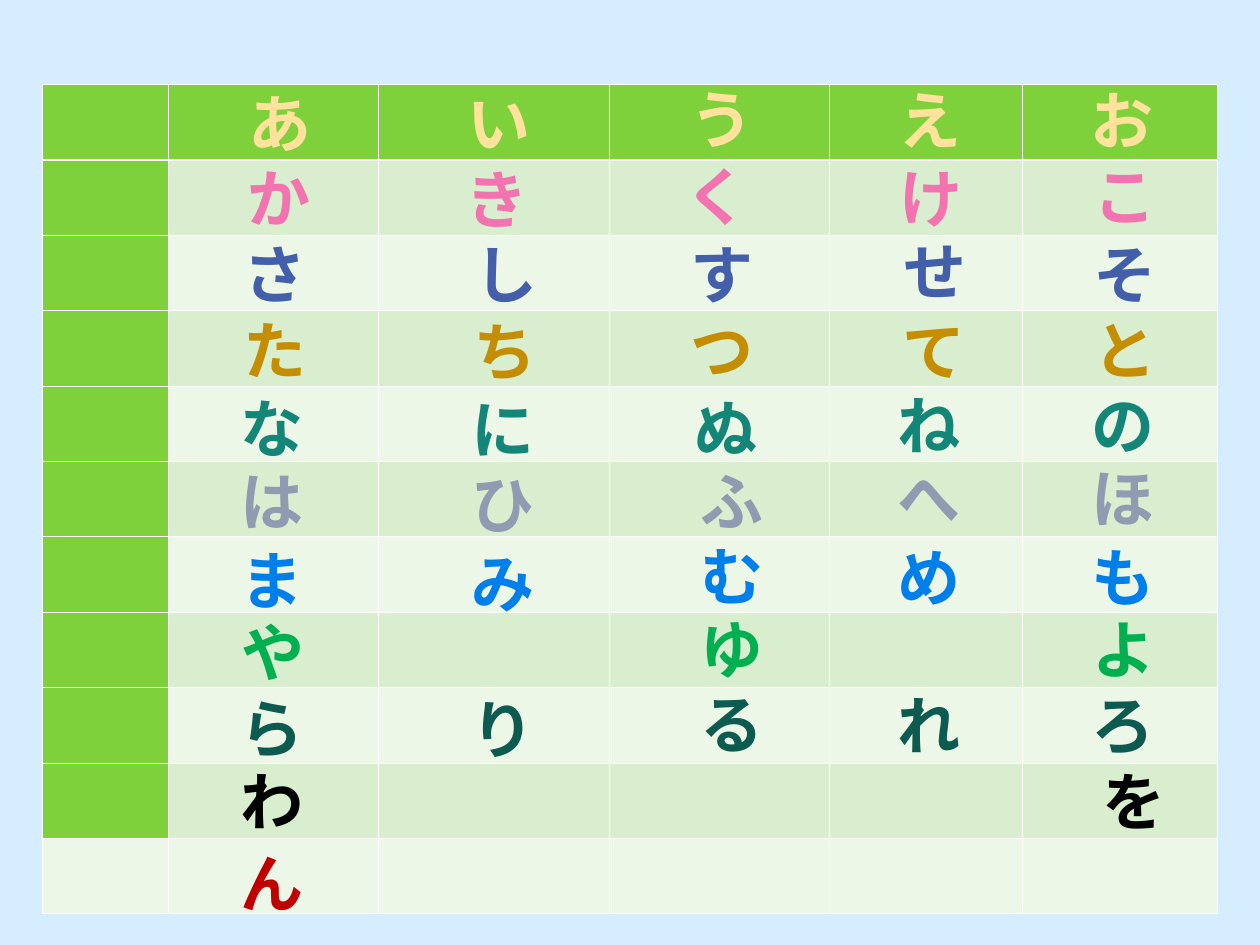
from lxml import etree
from pptx import Presentation
from pptx.dml.color import RGBColor
from pptx.enum.text import MSO_AUTO_SIZE, PP_ALIGN
from pptx.oxml.ns import qn
from pptx.util import Cm, Pt

CENTER = PP_ALIGN.CENTER
GROW = MSO_AUTO_SIZE.SHAPE_TO_FIT_TEXT

BACKGROUND, GREEN, WHITE = "D6ECFF", "7FD13B", "FFFFFF"
BANDS = ("ECF7E8", "D8EECE")
COL_WIDTHS = (2.54, 4.23, 4.66, 4.44, 3.88, 3.95)
ROW_HEIGHT = 1.52
THIN, THICK = 0.45, 1.47

KANA_ROWS = [
    ("FFE39D", [("あ", 4.47, 1.57), ("い", 8.89, 1.57), ("う", 13.39, 1.5),
                ("え", 17.58, 1.52), ("お", 21.44, 1.52)]),
    ("F273AF", [("か", 4.45, 3.1), ("き", 8.84, 3.12), ("く", 13.28, 3.05),
                ("け", 17.6, 3.1), ("こ", 21.51, 3.05)]),
    ("435FAA", [("さ", 4.37, 4.62), ("し", 9.04, 4.62), ("す", 13.39, 4.62),
                ("せ", 17.68, 4.57), ("そ", 21.51, 4.62)]),
    ("C58D01", [("た", 4.37, 6.15), ("ち", 9.02, 6.17), ("つ", 13.39, 6.15),
                ("て", 17.65, 6.17), ("と", 21.51, 6.15)]),
    ("138677", [("な", 4.32, 7.72), ("に", 8.97, 7.75), ("ぬ", 13.46, 7.72),
                ("ね", 17.55, 7.67), ("の", 21.46, 7.67)]),
    ("8E9BB0", [("は", 4.32, 9.19), ("ひ", 8.97, 9.25), ("ふ", 13.59, 9.19),
                ("へ", 17.55, 9.14), ("ほ", 21.46, 9.14)]),
    ("007EEA", [("ま", 4.32, 10.8), ("み", 8.97, 10.85), ("む", 13.59, 10.72),
                ("め", 17.55, 10.74), ("も", 21.46, 10.74)]),
    ("00B050", [("や", 4.34, 12.24), ("ゆ", 13.59, 12.19), ("よ", 21.49, 12.19)]),
    ("0D5A50", [("ら", 4.32, 13.77), ("り", 8.97, 13.79), ("る", 13.59, 13.69),
                ("れ", 17.55, 13.72), ("ろ", 21.46, 13.72)]),
    ("000000", [("わ", 4.32, 15.24), ("を", 21.69, 15.24)]),
    ("C00000", [("ん", 4.32, 16.89)]),
]


def rgb(value):
    return RGBColor.from_string(value)


def write(tf, text, font="Calibri", size=36, color="000000", bold=True, align=CENTER):
    p = tf.paragraphs[0]
    p.alignment = align
    r = p.add_run()
    r.text = text
    r.font.name, r.font.size, r.font.bold = font, Pt(size), bold
    r.font.color.rgb = rgb(color)


class KanaChart:
    """Styles and draws the elements of a kana chart on one slide."""

    def __init__(self, s):
        self.s = s
        fill = s.background.fill
        fill.solid()
        fill.fore_color.rgb = rgb(BACKGROUND)

    def border(self, cell, side, width):
        ln = etree.SubElement(cell._tc.get_or_add_tcPr(), qn(f"a:ln{side}"), w=str(Pt(width)))
        fill = etree.SubElement(ln, qn("a:solidFill"))
        etree.SubElement(fill, qn("a:srgbClr"), val=WHITE)

    def grid(self, left, top, rows):
        cols = len(COL_WIDTHS)
        table = self.s.shapes.add_table(rows, cols, Cm(left), Cm(top), Cm(sum(COL_WIDTHS)),
                                        Cm(rows * ROW_HEIGHT)).table
        for column, width in zip(table.columns, COL_WIDTHS):
            column.width = Cm(width)
        for i, row in enumerate(table.rows):
            row.height = Cm(ROW_HEIGHT)
            for j, cell in enumerate(row.cells):
                for side in "LRTB":
                    under_header = (i, side) in ((0, "B"), (1, "T"))
                    self.border(cell, side, THICK if under_header else THIN)
                is_header = i == 0 or (j == 0 and i < rows - 1)
                cell.fill.solid()
                cell.fill.fore_color.rgb = rgb(GREEN if is_header else BANDS[i % 2])

    def kana(self, text, left, top, color):
        tf = self.s.shapes.add_textbox(Cm(left), Cm(top), Cm(2.34), Cm(1.78)).text_frame
        tf.word_wrap = True
        tf.auto_size = GROW
        write(tf, text, color=color)


def main():
    prs = Presentation()
    prs.slide_width, prs.slide_height = Cm(25.4), Cm(19.05)
    chart = KanaChart(prs.slides.add_slide(prs.slide_layouts[6]))
    chart.grid(0.85, 1.7, len(KANA_ROWS))
    for color, row in KANA_ROWS:
        for text, left, top in row:
            chart.kana(text, left, top, color)
    prs.save("out.pptx")


if __name__ == "__main__":
    main()
